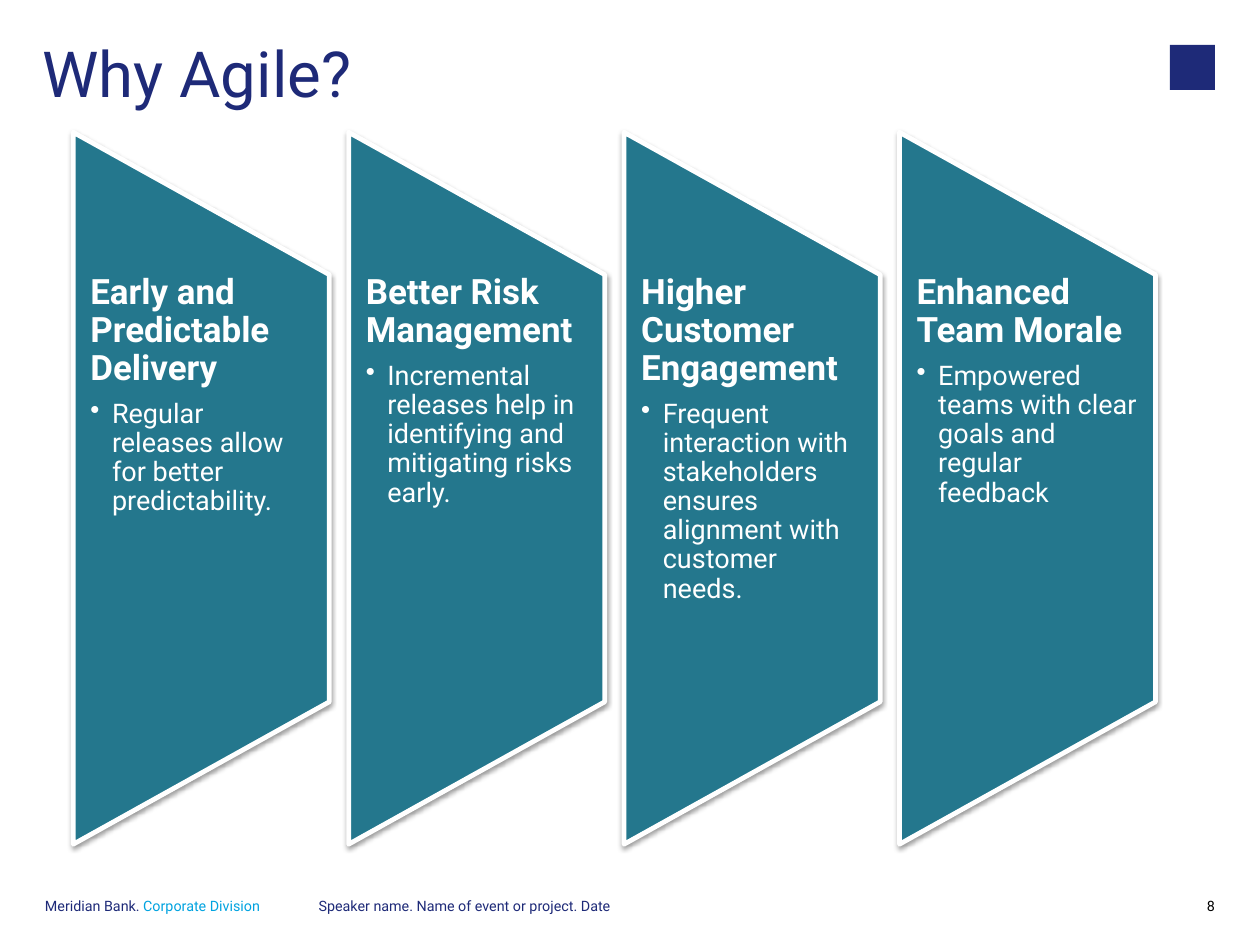
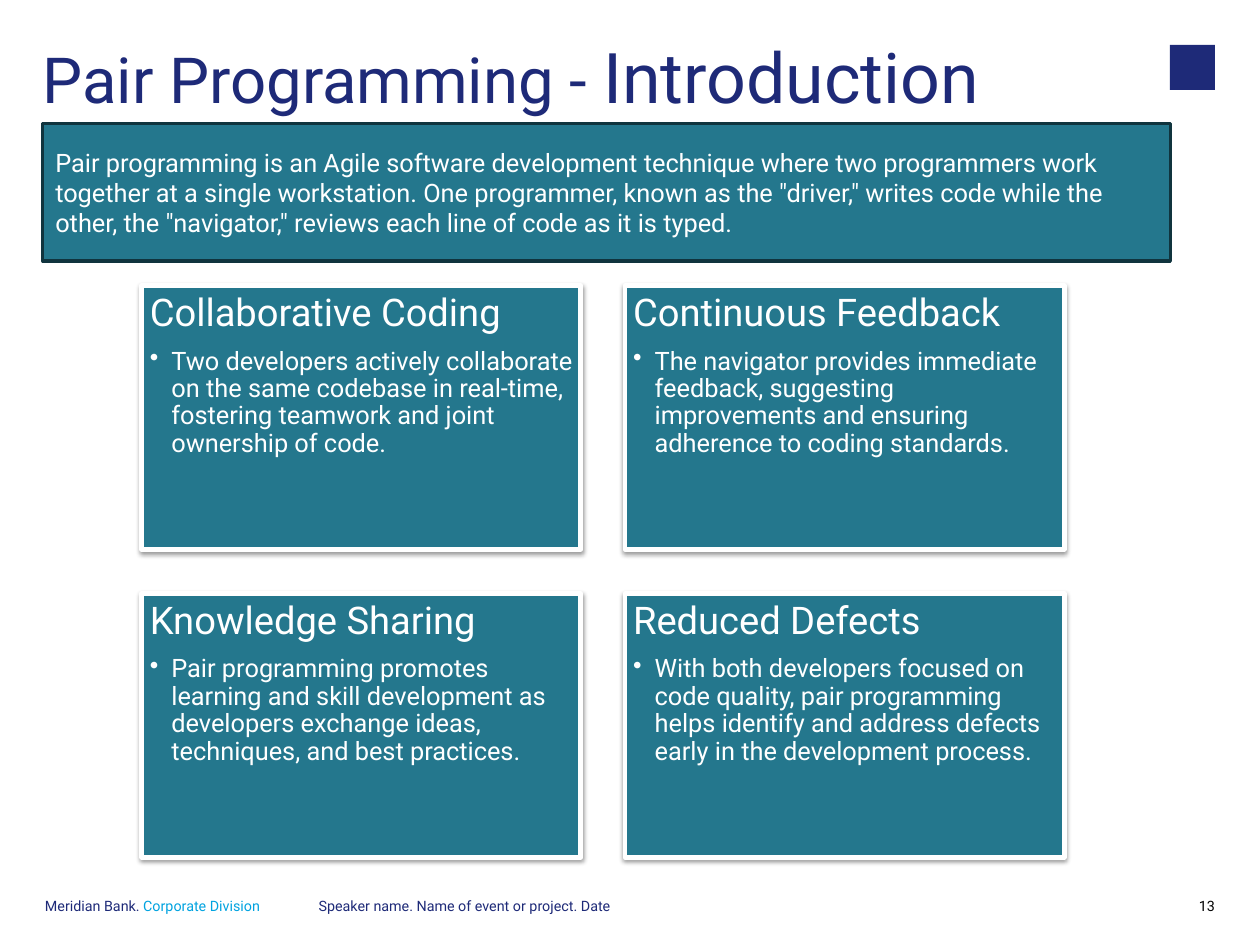
import dataclasses

import lxml.etree
import pptx
import pptx.dml.color
import pptx.enum.shapes
import pptx.enum.text
import pptx.oxml.ns
import pptx.util

Cm = pptx.util.Cm
Pt = pptx.util.Pt
Kind = pptx.enum.shapes.MSO_SHAPE
Align = pptx.enum.text.PP_ALIGN
Anchor = pptx.enum.text.MSO_ANCHOR


@dataclasses.dataclass(frozen=True)
class Theme:
    font: str = "Roboto"
    navy: str = "1E2A78"
    sky: str = "00A3E0"
    teal: str = "24778D"
    dark_teal: str = "10343E"
    white: str = "FFFFFF"
    black: str = "000000"
    title_size: int = 40
    title_large_size: int = 44
    column_heading_size: int = 22
    column_body_size: int = 17
    card_heading_size: int = 24
    card_body_size: int = 16
    footer_size: int = 9


theme = Theme()


def write(frame, text, *, size, color, bold=False, align=Align.LEFT, spacing=None,
          after=0, bullet=False, new_paragraph=False, insets=None):
    if insets is not None:
        frame.word_wrap = True
        frame.margin_left, frame.margin_top, frame.margin_right, frame.margin_bottom = map(Cm, insets)
    paragraph = frame.add_paragraph() if new_paragraph else frame.paragraphs[-1]
    paragraph.alignment = align
    paragraph.line_spacing = spacing
    paragraph.space_after = Pt(after)
    if bullet:
        properties = paragraph._p.get_or_add_pPr()
        properties.set("marL", str(Cm(0.48)))
        properties.set("indent", str(Cm(-0.48)))
        mark = lxml.etree.SubElement(properties, pptx.oxml.ns.qn("a:buChar"))
        mark.set("char", "•")
    run = paragraph.add_run()
    run.text = text
    run.font.name = theme.font
    run.font.size = Pt(size)
    run.font.bold = bold
    run.font.color.rgb = pptx.dml.color.RGBColor.from_string(color)


def add_panel(slide, kind, box, *, fill=theme.teal, line=None, width=3, shadow=False):
    shape = slide.shapes.add_shape(kind, *map(Cm, box))
    shape.fill.solid()
    shape.fill.fore_color.rgb = pptx.dml.color.RGBColor.from_string(fill)
    if line:
        shape.line.color.rgb = pptx.dml.color.RGBColor.from_string(line)
        shape.line.width = Pt(width)
    else:
        shape.line.fill.background()
    shape.shadow.inherit = False
    if shadow:
        effects = shape._element.spPr.find(pptx.oxml.ns.qn("a:effectLst"))
        outer = lxml.etree.SubElement(effects, pptx.oxml.ns.qn("a:outerShdw"))
        for name, value in {"blurRad": Pt(3.1), "dist": Pt(1.6), "dir": 5400000, "rotWithShape": 0}.items():
            outer.set(name, str(value))
        tint = lxml.etree.SubElement(outer, pptx.oxml.ns.qn("a:srgbClr"), val=theme.black)
        lxml.etree.SubElement(tint, pptx.oxml.ns.qn("a:alpha"), val="38000")
    return shape


presentation = pptx.Presentation()
presentation.slide_width = Cm(28)
presentation.slide_height = Cm(21)

slide_heads = [
    (8, [("Why Agile?", theme.title_size)]),
    (13, [("Pair Programming - ", theme.title_size), ("Introduction", theme.title_large_size)]),
]
no_insets = (0, 0, 0, 0)
slides = []
for number, title_runs in slide_heads:
    slide = presentation.slides.add_slide(presentation.slide_layouts[6])
    slides.append(slide)
    footers = [
        (1, 5.56, Align.LEFT, [("Meridian Bank. ", theme.navy), ("Corporate Division", theme.sky)]),
        (7.08, 13.72, Align.LEFT, [("Speaker name. Name of event or project. Date", theme.navy)]),
        (26, 1, Align.RIGHT, [(str(number), theme.black)]),
    ]
    for left, width, align, runs in footers:
        footer = slide.shapes.add_textbox(Cm(left), Cm(20.01), Cm(width), Cm(0.5))
        for text, color in runs:
            write(footer.text_frame, text, size=theme.footer_size, color=color, align=align,
                  spacing=Pt(9), insets=no_insets)
    add_panel(slide, Kind.RECTANGLE, (26, 1, 1, 1), fill=theme.navy)
    title = slide.shapes.add_textbox(Cm(0.95), Cm(0.95), Cm(24.05), Cm(1.55))
    for text, size in title_runs:
        write(title.text_frame, text, size=size, color=theme.navy, spacing=0.9, insets=no_insets)

why_slide, pair_slide = slides

columns = [
    ("Early and Predictable Delivery", "Regular releases allow for better predictability."),
    ("Better Risk Management", "Incremental releases help in identifying and mitigating risks early."),
    ("Higher Customer Engagement",
     "Frequent interaction with stakeholders ensures alignment with customer needs."),
    ("Enhanced Team Morale", "Empowered teams with clear goals and regular feedback"),
]
column_width, column_height, column_pitch = 5.69, 15.82, 6.12
column_middle = 10.85
for index, (heading, body) in enumerate(columns):
    left = 1.63 + index * column_pitch
    unrotated_box = (left + (column_width - column_height) / 2, column_middle - column_width / 2,
                     column_height, column_width)
    column = add_panel(why_slide, Kind.FLOWCHART_MANUAL_OPERATION, unrotated_box,
                       line=theme.white, shadow=True)
    column.rotation = 270
    frame = why_slide.shapes.add_textbox(Cm(left), Cm(6.1), Cm(column_width), Cm(9.5)).text_frame
    write(frame, heading, size=theme.column_heading_size, color=theme.white, bold=True,
          spacing=0.9, after=7.7, insets=(0.38, 0, 0.41, 0))
    write(frame, body, size=theme.column_body_size, color=theme.white, spacing=0.9,
          bullet=True, new_paragraph=True)

cards = [
    ("Collaborative Coding",
     "Two developers actively collaborate on the same codebase in real-time, "
     "fostering teamwork and joint ownership of code."),
    ("Continuous Feedback",
     "The navigator provides immediate feedback, suggesting improvements and "
     "ensuring adherence to coding standards."),
    ("Knowledge Sharing",
     "Pair programming promotes learning and skill development as developers "
     "exchange ideas, techniques, and best practices."),
    ("Reduced Defects",
     "With both developers focused on code quality, pair programming helps identify "
     "and address defects early in the development process."),
]
card_width, card_height, card_gap = 9.76, 5.86, 0.98
for index, (heading, body) in enumerate(cards):
    row, column_index = divmod(index, 2)
    box = (3.15 + column_index * (card_width + card_gap), 6.35 + row * (card_height + card_gap),
           card_width, card_height)
    card = add_panel(pair_slide, Kind.RECTANGLE, box, line=theme.white, shadow=True)
    frame = card.text_frame
    frame.vertical_anchor = Anchor.TOP
    write(frame, heading, size=theme.card_heading_size, color=theme.white, spacing=0.9,
          after=8.4, insets=(0.18, 0.18, 0.18, 0.18))
    write(frame, body, size=theme.card_body_size, color=theme.white, spacing=0.9,
          bullet=True, new_paragraph=True)

banner = add_panel(pair_slide, Kind.RECTANGLE, (0.95, 2.75, 25.06, 3.05), line=theme.dark_teal, width=2)
banner.text_frame.vertical_anchor = Anchor.MIDDLE
write(banner.text_frame,
      "Pair programming is an Agile software development technique where two programmers work "
      "together at a single workstation. One programmer, known as the \"driver,\" writes code while "
      "the other, the \"navigator,\" reviews each line of code as it is typed.",
      size=theme.card_body_size, color=theme.white, insets=(0.28, 0.15, 0.28, 0.15))

presentation.save("out.pptx")
